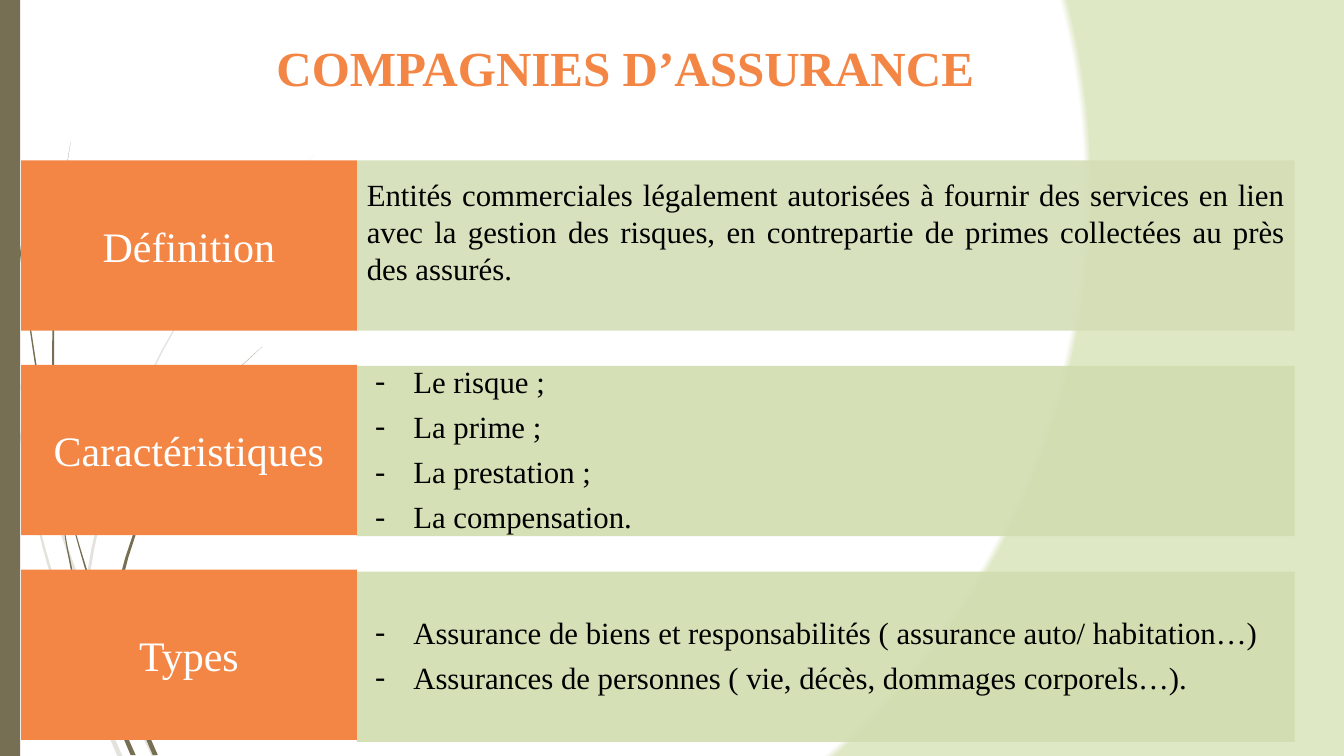
from lxml.etree import SubElement
from pptx import Presentation
from pptx.dml.color import RGBColor
from pptx.enum.shapes import MSO_SHAPE
from pptx.enum.text import MSO_ANCHOR, PP_ALIGN
from pptx.oxml.ns import qn
from pptx.util import Emu, Pt

PX = 9144
FONT = "Times New Roman"
WHITE = RGBColor(0xFF, 0xFF, 0xFF)
BLACK = RGBColor(0x00, 0x00, 0x00)
ORANGE = RGBColor(0xF3, 0x86, 0x45)
OLIVE = RGBColor(0x76, 0x6F, 0x54)
PALE_GREEN = RGBColor(0xDF, 0xE8, 0xC4)
GREY_GREEN = RGBColor(0xD4, 0xDE, 0xB6)
SOFT_GREEN = RGBColor(0xD1, 0xDD, 0xB0)

FAINT_BLADES = [
    ((85, 586), (122, 329), (312, 153), 3),
    ((153, 750), (50, 540), (12, 345), 5),
    ((119, 750), (23, 540), (11, 350), 5),
]
DARK_BLADES = [
    ((57, 481), (8, 240), (3, 0), 2),
    ((154, 749), (93, 610), (60, 472), 5),
    ((132, 749), (71, 613), (57, 477), 5),
    ((57, 460), (44, 297), (70, 141), 3),
    ((108, 641), (130, 457), (260, 344), 4),
]

DEFINITION = [
    "Entités commerciales légalement autorisées à fournir des services en lien avec la gestion "
    "des risques, en contrepartie de primes collectées au près des assurés."
]
FEATURES = ["Le risque ;", "La prime ;", "La prestation ;", "La compensation."]
TYPES = [
    "Assurance de biens et responsabilités ( assurance auto/ habitation…)",
    "Assurances de personnes ( vie, décès, dommages corporels…).",
]


def px(*lengths):
    """Turn px lengths into EMU."""
    return [Emu(round(length * PX)) for length in lengths]


def paint(shape, color, opacity=100):
    """Give a shape a plain fill without line or shadow."""
    shape.shadow.inherit = False
    shape.fill.solid()
    shape.fill.fore_color.rgb = color
    shape.line.fill.background()
    if opacity < 100:
        tint = shape.element.spPr.find(f"{qn('a:solidFill')}/{qn('a:srgbClr')}")
        SubElement(tint, qn("a:alpha"), val=str(opacity * 1000))


def write(shape, lines, size, color, align, anchor, insets=(10, 5), bold=False):
    """Write one paragraph per line into a shape."""
    frame = shape.text_frame
    frame.word_wrap = True
    frame.vertical_anchor = anchor
    side, top = px(*insets)
    frame.margin_left = frame.margin_right = side
    frame.margin_top = frame.margin_bottom = top
    frame.text = "\n".join(lines)
    for paragraph in frame.paragraphs:
        paragraph.alignment = align
        font = paragraph.runs[0].font
        font.name, font.size, font.bold = FONT, Pt(size), bold
        font.color.rgb = color


def add_dashes(frame):
    """Turn the paragraphs of a frame into a dashed list."""
    hang = px(38)[0]
    for paragraph in frame.paragraphs:
        paragraph.line_spacing = 0.9
        paragraph.space_after = Pt(8.6)
        properties = paragraph._p.get_or_add_pPr()
        properties.set("marL", str(hang))
        properties.set("indent", str(-hang))
        SubElement(properties, qn("a:buFont"), typeface=FONT)
        SubElement(properties, qn("a:buChar"), char="-")


def add_box(slide, box, color, opacity=100):
    """Add a filled rectangle."""
    rectangle = slide.shapes.add_shape(MSO_SHAPE.RECTANGLE, *px(*box))
    paint(rectangle, color, opacity)
    return rectangle


def add_blade(slide, root, bend, tip, width, opacity, steps=12):
    """Add a curved grass blade that narrows from root to tip."""
    left_edge, right_edge = [], []
    for step in range(steps + 1):
        t = step / steps
        x, y = ((1 - t) ** 2 * a + 2 * t * (1 - t) * b + t * t * c for a, b, c in zip(root, bend, tip))
        half = width * (1 - t) / 2
        left_edge.append(px(x - half, y))
        right_edge.append(px(x + half, y))
    outline = left_edge + right_edge[::-1]
    builder = slide.shapes.build_freeform(*outline[0])
    builder.add_line_segments(outline[1:])
    paint(builder.convert_to_shape(), OLIVE, opacity)


def add_backdrop(slide):
    """Draw the circular background, the grass and the side bar."""
    fill = slide.background.fill
    fill.gradient()
    for stop, position, color in zip(fill.gradient_stops, (0.97, 0.98), (WHITE, PALE_GREEN)):
        stop.position = position
        stop.color.rgb = color
    gradient = slide.element.find(f".//{qn('a:gradFill')}")
    gradient.remove(gradient.find(qn("a:lin")))
    circle = SubElement(gradient, qn("a:path"))
    circle.set("path", "circle")
    SubElement(circle, qn("a:fillToRect"), l="50000", t="50000", r="100000", b="100000")
    for blades, opacity in ((FAINT_BLADES, 20), (DARK_BLADES, 100)):
        for blade in blades:
            add_blade(slide, *blade, opacity)
    add_box(slide, (0, 0, 20, 750), OLIVE)


def add_title(slide, box):
    """Write the slide title."""
    title = slide.shapes.add_textbox(*px(*box))
    write(title, ["COMPAGNIES D’ASSURANCE "], 35, ORANGE, PP_ALIGN.CENTER, MSO_ANCHOR.BOTTOM, bold=True)


def add_row(slide, box, drop, heading, lines, color, align, dashed):
    """Place an orange heading and its green panel side by side."""
    left, top, width, height = box
    heading_width = 333
    panel_box = (left + heading_width, top + drop, width - heading_width, height)
    panel = add_box(slide, panel_box, color, 90)
    if dashed:
        write(panel, lines, 22, BLACK, align, MSO_ANCHOR.MIDDLE, (18, 32))
        add_dashes(panel.text_frame)
    else:
        write(panel, lines, 22, BLACK, align, MSO_ANCHOR.TOP, (10, 15))
    label = add_box(slide, (left, top, heading_width, height), ORANGE)
    write(label, [heading], 30, WHITE, PP_ALIGN.CENTER, MSO_ANCHOR.MIDDLE)


def main():
    """Build and save the slide."""
    deck = Presentation()
    deck.slide_width, deck.slide_height = px(1333, 750)
    slide = deck.slides.add_slide(deck.slide_layouts[6])
    add_backdrop(slide)
    add_title(slide, (36, 19, 1181, 81))
    rows = [
        ("Définition", DEFINITION, GREY_GREEN, PP_ALIGN.JUSTIFY, False),
        ("Caractéristiques", FEATURES, SOFT_GREEN, PP_ALIGN.JUSTIFY, True),
        ("Types", TYPES, SOFT_GREEN, PP_ALIGN.LEFT, True),
    ]
    for index, row in enumerate(rows):
        add_row(slide, (21, 159 + 203 * index, 1263, 169), index, *row)
    deck.save("out.pptx")


if __name__ == "__main__":
    main()
